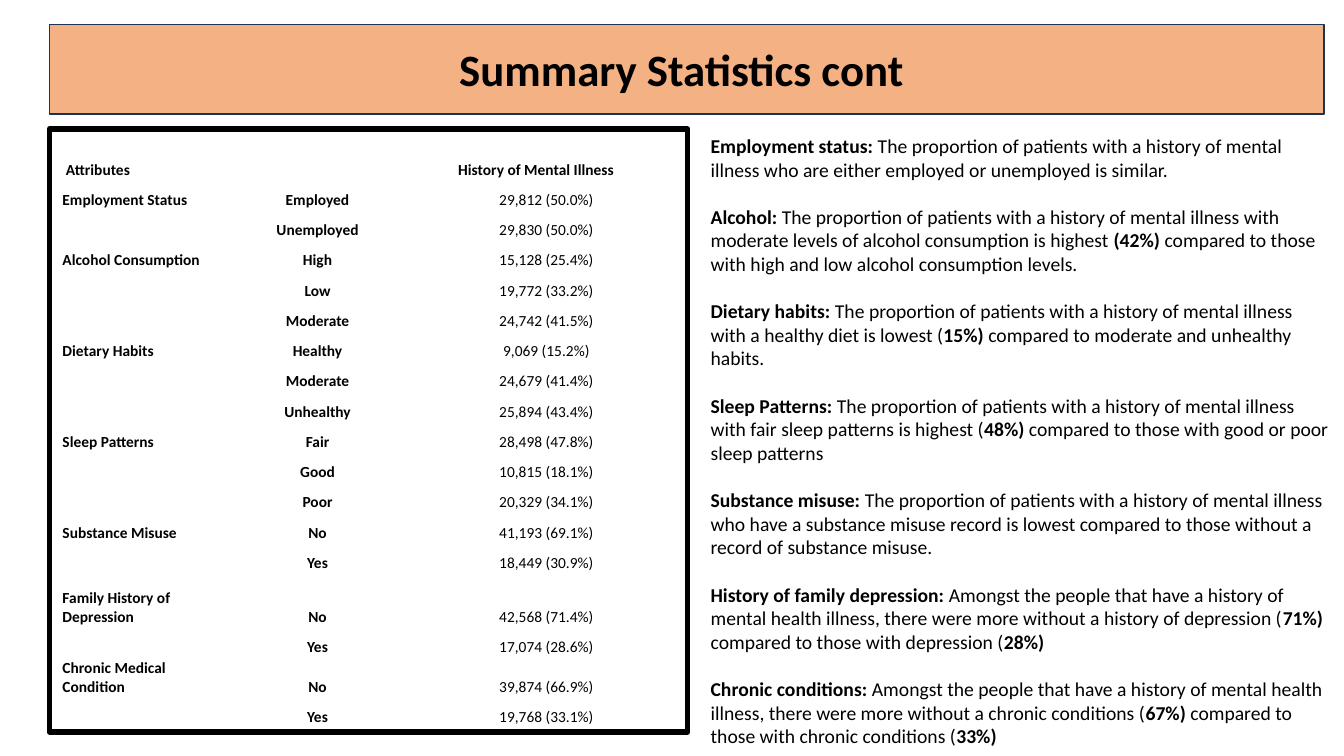
from lxml import etree
from pptx import Presentation
from pptx import util as u
from pptx.dml.color import RGBColor
from pptx.enum import shapes, text
from pptx.oxml.ns import qn

COLOURS = {"bar": "F4B183", "outline": "1E3256", "ink": "000000", "paper": "FFFFFF"}
CENTRE = text.PP_ALIGN.CENTER
LEFT = text.PP_ALIGN.LEFT

# Attribute, then its levels with the count of patients
STATISTICS = [
    ("Employment Status", [("Employed", "29,812 (50.0%)"), ("Unemployed", "29,830 (50.0%)")]),
    ("Alcohol Consumption", [("High", "15,128 (25.4%)"), ("Low", "19,772 (33.2%)"),
                             ("Moderate", "24,742 (41.5%)")]),
    ("Dietary Habits", [("Healthy", "9,069 (15.2%)"), ("Moderate", "24,679 (41.4%)"),
                        ("Unhealthy", "25,894 (43.4%)")]),
    ("Sleep Patterns", [("Fair", "28,498 (47.8%)"), ("Good", "10,815 (18.1%)"),
                        ("Poor", "20,329 (34.1%)")]),
    ("Substance Misuse", [("No", "41,193 (69.1%)"), ("Yes", "18,449 (30.9%)")]),
    ("Family History of Depression", [("No", "42,568 (71.4%)"), ("Yes", "17,074 (28.6%)")]),
    ("Chronic Medical Condition", [("No", "39,874 (66.9%)"), ("Yes", "19,768 (33.1%)")]),
]

# Text between asterisks is bold
FINDINGS = [
    "*Employment status: *The proportion of patients with a history of mental illness who are "
    "either employed or unemployed is similar.",
    "*Alcohol: *The proportion of patients with a history of mental illness with moderate levels "
    "of alcohol consumption is highest *(42%) *compared to those with high and low alcohol "
    "consumption levels.",
    "*Dietary habits: *The proportion of patients with a history of mental illness with a healthy "
    "diet is lowest (*15%) *compared to moderate and unhealthy habits.",
    "*Sleep Patterns: *The proportion of patients with a history of mental illness with fair sleep "
    "patterns is highest (*48%) *compared to those with good or poor sleep patterns",
    "*Substance misuse: *The proportion of patients with a history of mental illness who have a "
    "substance misuse record is lowest compared to those without a record of substance misuse.",
    "*History of family depression: *Amongst the people that have a history of mental health "
    "illness, there were more without a history of depression (*71%) *compared to those with "
    "depression (*28%)*",
    "*Chronic conditions: *Amongst the people that have a history of mental health illness, there "
    "were more without a chronic conditions (*67%) *compared to those with chronic conditions "
    "(*33%)*",
]


def write(para, words, size=14, font="Calibri", colour="ink", align=LEFT, before=0):
    """Fill a paragraph; asterisks switch bold on and off."""
    para.alignment = align
    para.space_before = u.Pt(before)
    for index, part in enumerate(words.split("*")):
        if part:
            span = para.add_run()
            span.text = part
            span.font.name = font
            span.font.size = u.Pt(size)
            span.font.bold = index % 2 == 1
            span.font.color.rgb = RGBColor.from_string(COLOURS[colour])
    if not words:
        etree.SubElement(para._p, qn("a:endParaRPr"), sz=str(size * 100))


class SlideBuilder:
    def __init__(self, page):
        self.page = page

    def paint(self, box, fill, line, width):
        box.fill.solid()
        box.fill.fore_color.rgb = RGBColor.from_string(COLOURS[fill])
        box.line.color.rgb = RGBColor.from_string(COLOURS[line])
        box.line.width = u.Pt(width)

    def title_bar(self, words, left, top, width, height):
        box = self.page.shapes.title
        box.left, box.top = u.Inches(left), u.Inches(top)
        box.width, box.height = u.Inches(width), u.Inches(height)
        # Rounded outline for the placeholder
        outline = etree.SubElement(box.element.spPr, qn("a:prstGeom"), prst="roundRect")
        etree.SubElement(outline, qn("a:avLst"))
        self.paint(box, "bar", "outline", 1)
        frame = box.text_frame
        frame.auto_size = text.MSO_AUTO_SIZE.NONE
        frame.vertical_anchor = text.MSO_ANCHOR.MIDDLE
        write(frame.paragraphs[0], words, size=32, align=CENTRE)

    def frame(self, left, top, width, height):
        box = self.page.shapes.add_shape(shapes.MSO_SHAPE.RECTANGLE, u.Inches(left),
                                         u.Inches(top), u.Inches(width), u.Inches(height))
        box.shadow.inherit = False
        self.paint(box, "paper", "ink", 4)

    def table(self, rows, left, top, widths, heights):
        holder = self.page.shapes.add_table(len(rows), len(widths), u.Inches(left), u.Inches(top),
                                            u.Inches(sum(widths)), u.Inches(sum(heights)))
        grid = holder.table
        grid.first_row = grid.horz_banding = False
        for column, width in zip(grid.columns, widths):
            column.width = u.Inches(width)
        for row, height, values in zip(grid.rows, heights, rows):
            row.height = u.Inches(height)
            for index, (cell, words) in enumerate(zip(row.cells, values)):
                cell.fill.solid()
                cell.fill.fore_color.rgb = RGBColor.from_string(COLOURS["paper"])
                cell.margin_left = cell.margin_right = cell.margin_top = u.Inches(0.01)
                cell.margin_bottom = 0
                cell.vertical_anchor = text.MSO_ANCHOR.BOTTOM
                write(cell.text_frame.paragraphs[0], words, size=11,
                      align=CENTRE if index else LEFT)
        grid.cell(0, 2).merge(grid.cell(0, 3))

    def text_box(self, paragraphs, left, top, width, height):
        box = self.page.shapes.add_textbox(u.Inches(left), u.Inches(top),
                                           u.Inches(width), u.Inches(height))
        frame = box.text_frame
        frame.word_wrap = True
        frame.auto_size = text.MSO_AUTO_SIZE.SHAPE_TO_FIT_TEXT
        for index, words in enumerate(paragraphs):
            para = frame.add_paragraph() if index else frame.paragraphs[0]
            write(para, words, before=17 if index else 0)


def main():
    deck = Presentation()
    deck.slide_width, deck.slide_height = u.Inches(13.33), u.Inches(7.5)
    builder = SlideBuilder(deck.slides.add_slide(deck.slide_layouts[5]))

    # Title
    builder.title_bar("*Summary Statistics cont *", 0.49, 0.24, 12.64, 0.89)

    # Framed table: the attribute is named on its first level only
    builder.frame(0.49, 1.28, 6.33, 5.98)
    rows = [("* Attributes*", "", "*History of Mental Illness *", "")]
    heights = [0.3]
    for attribute, levels in STATISTICS:
        for index, (level, count) in enumerate(levels):
            name = "" if index else f"*{attribute}*"
            rows.append((name, f"*{level}*", "", count))
            heights.append(0.54 if "Family" in name else 0.3)
    builder.table(rows, 0.61, 1.48, [1.69, 1.7, 0.17, 2.5], heights)

    # Findings
    builder.text_box(FINDINGS, 6.95, 1.28, 6.33, 6.73)
    deck.save("out.pptx")


if __name__ == "__main__":
    main()
